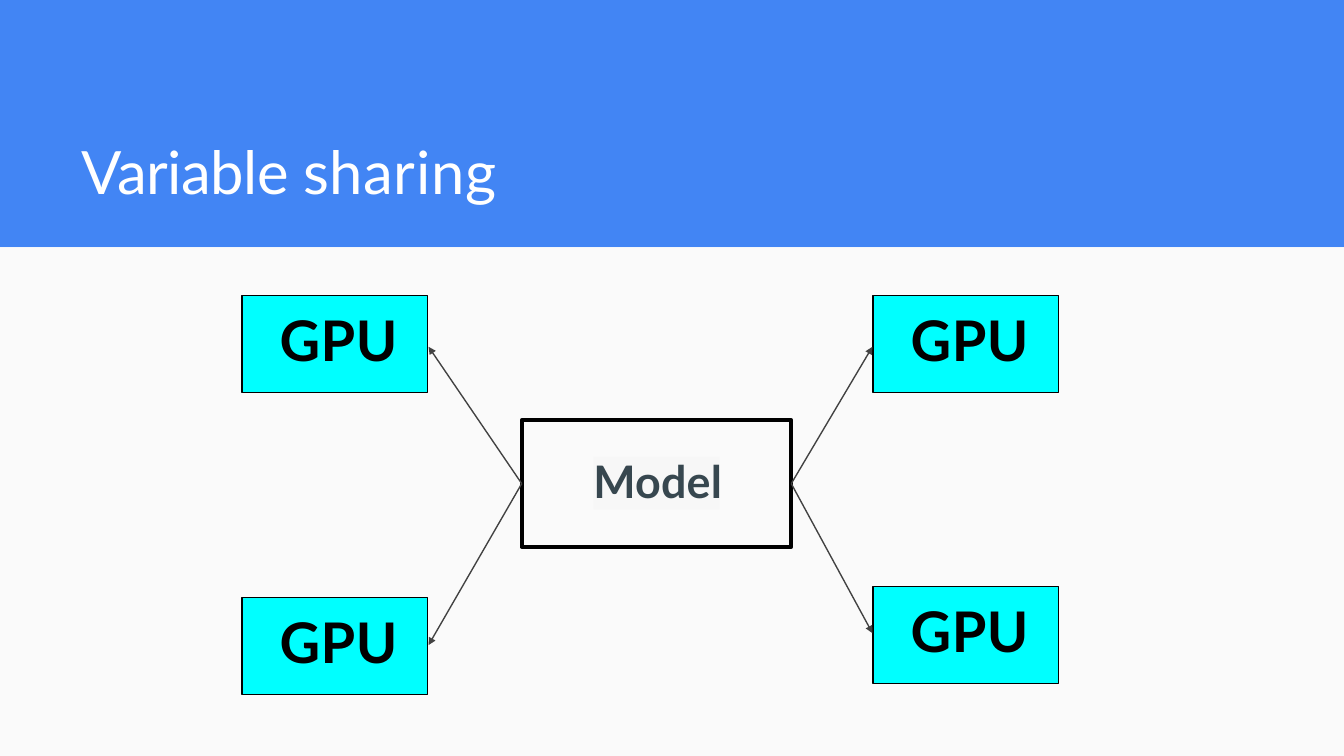
"""Build the variable sharing slide: one model linked to four GPUs."""
from dataclasses import dataclass

from lxml.etree import SubElement as Sub
from pptx import Presentation as Deck
from pptx.dml.color import RGBColor as Rgb
from pptx.enum.shapes import MSO_CONNECTOR as Link, MSO_SHAPE as Kind
from pptx.enum.text import MSO_ANCHOR as Anchor, PP_ALIGN as Align
from pptx.oxml.ns import qn
from pptx.util import Pt


@dataclass(frozen=True)
class Theme:
    font: str = "Lato"
    blue: str = "4285F4"
    pale: str = "FAFAFA"
    mark: str = "F7F7F7"
    cyan: str = "00FFFF"
    black: str = "000000"
    white: str = "FFFFFF"
    slate: str = "37474F"
    gray: str = "424242"
    title: int = 32
    model: int = 24
    gpu: int = 30
    thin: float = 0.75
    thick: float = 2.25


LOOK = Theme()


def add_box(slide, area, fill=None, edge=None):
    box = slide.shapes.add_shape(Kind.RECTANGLE, *map(Pt, area))
    box.shadow.inherit = False
    if fill:
        box.fill.solid()
        box.fill.fore_color.rgb = Rgb.from_string(fill)
    else:
        box.fill.background()
    if edge:
        box.line.color.rgb = Rgb.from_string(LOOK.black)
        box.line.width = Pt(edge)
    else:
        box.line.fill.background()
    return box


def add_text(shape, runs, size, color, left=0, top=0, bold=False):
    frame = shape.text_frame
    frame.word_wrap = True
    frame.vertical_anchor = Anchor.TOP
    frame.margin_left, frame.margin_top = Pt(left), Pt(top)
    frame.margin_right = frame.margin_bottom = 0
    para = frame.paragraphs[0]
    para.alignment = Align.LEFT
    for text, gap in runs:
        run = para.add_run()
        run.text = text
        font = run.font
        font.name, font.size, font.bold = LOOK.font, Pt(size), bold
        font.color.rgb = Rgb.from_string(color)
        run._r.get_or_add_rPr().set("spc", str(round(gap * 100)))


def add_title(slide):
    box = slide.shapes.add_textbox(Pt(43.2), Pt(71.3), Pt(232), Pt(40.3))
    runs = [("Variable ", -0.3), ("sharing", 0.3)]
    add_text(box, runs, LOOK.title, LOOK.white, 0.7, 0.9)


def add_model(slide, area):
    add_box(slide, (318, 244.8, 67.5, 28.1), LOOK.mark)
    box = add_box(slide, area, edge=LOOK.thick)
    add_text(box, [("Model", 0.1)], LOOK.model, LOOK.slate, 38.4, 17.8, True)


def add_gpu(slide, area):
    box = add_box(slide, area, LOOK.cyan, LOOK.thin)
    add_text(box, [("GPU", 0.3)], LOOK.gpu, LOOK.black, 20.2, 5.5, True)


def add_arrow(slide, start, end):
    line = slide.shapes.add_connector(Link.STRAIGHT, *map(Pt, start + end))
    line.line.color.rgb = Rgb.from_string(LOOK.gray)
    line.line.width = Pt(LOOK.thin)
    tip = Sub(line.line._get_or_add_ln(), qn("a:tailEnd"))
    for key, val in (("type", "triangle"), ("w", "sm"), ("len", "sm")):
        tip.set(key, val)
    Sub(line._element.spPr, qn("a:effectLst"))


def main():
    deck = Deck()
    deck.slide_width, deck.slide_height = Pt(720), Pt(405)
    slide = deck.slides.add_slide(deck.slide_layouts[6])
    add_box(slide, (0, 0, 720, 132.5), LOOK.blue)
    add_box(slide, (0, 132.5, 720, 272.5), LOOK.pale)
    add_title(slide)

    left, top, wide, high = model = (279.5, 225.2, 144.4, 67.8)
    mid = top + high / 2
    add_model(slide, model)
    west, east = (129.6, left, 229.6), (467.7, left + wide, 467.4)
    spots = [(east, 158.4, 185.8), (east, 314.1, 339.2),
             (west, 158.4, 185.8), (west, 320.2, 345.6)]
    for (x, _, _), y, _ in spots:
        add_gpu(slide, (x, y, 99.5, 52))
    for (_, start, end), _, tip in spots:
        add_arrow(slide, (start, mid), (end, tip))
    deck.save("out.pptx")


if __name__ == "__main__":
    main()
